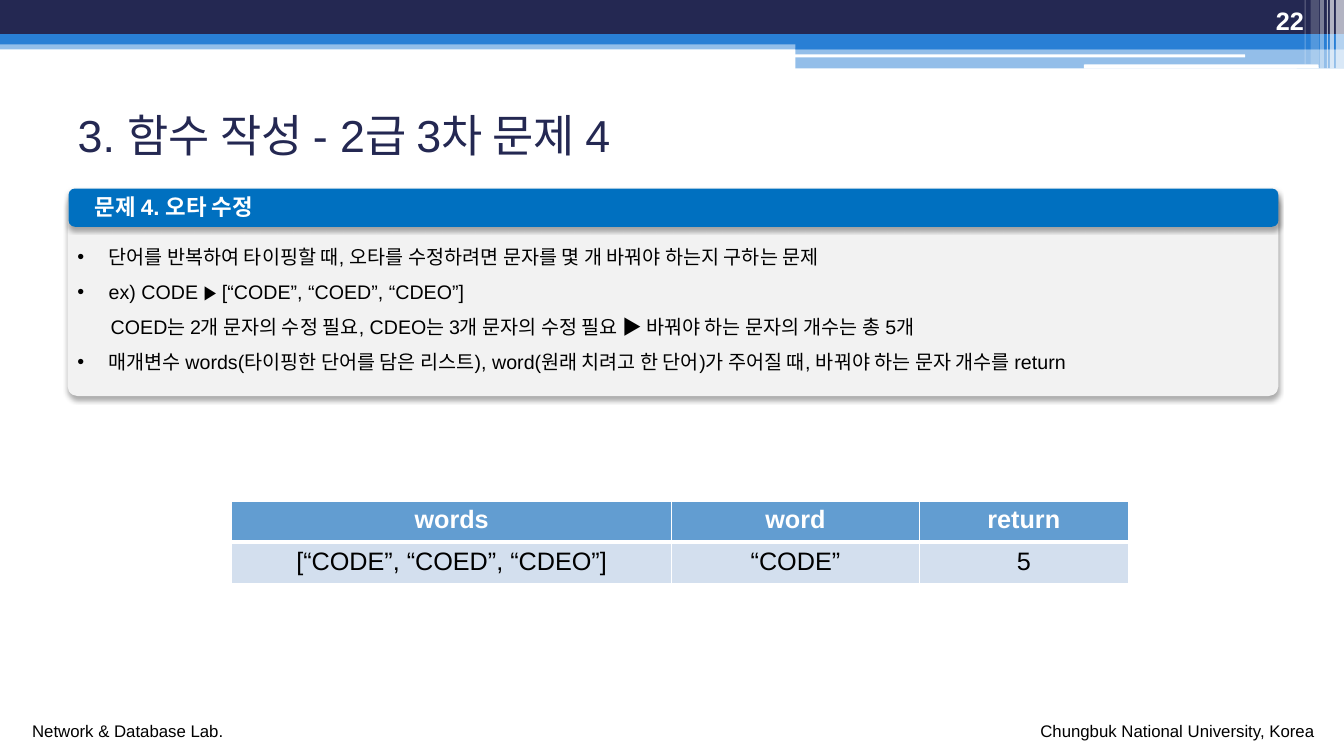
from dataclasses import dataclass
from typing import Any

from lxml import etree
from pptx import Presentation
from pptx import util as u
from pptx.dml.color import RGBColor
from pptx.enum import shapes, text
from pptx.oxml import ns

SCALE = 9144  # EMU in one px, 100 px to the inch


@dataclass(frozen=True)
class Theme:
    font: str = "Arial"
    navy: str = "242852"
    blue: str = "297FD5"
    white: str = "FFFFFF"
    black: str = "000000"
    panel: str = "F2F2F2"
    label: str = "0070C0"
    head: str = "629DD1"
    body: str = "D3DFEE"
    title_pt: int = 32
    table_pt: int = 18
    label_pt: int = 16
    text_pt: int = 14
    foot_pt: int = 12


@dataclass(frozen=True)
class Box:
    left: int
    top: int
    width: int
    height: int

    def emu(self) -> list[u.Emu]:
        return [px(n) for n in (self.left, self.top, self.width, self.height)]


@dataclass(frozen=True)
class Bar:
    box: Box
    color: str
    alpha: int = 100
    round: float = 0
    shadow: bool = False


@dataclass(frozen=True)
class Note:
    box: Box
    lines: tuple[str, ...]
    size: int
    color: str
    bold: bool = False
    wrap: bool = True
    grow: bool = True
    align: Any = None
    anchor: Any = text.MSO_ANCHOR.TOP


T = Theme()

# Bands across the top, then the pale stripes at the right edge
BARS = [
    Bar(Box(0, 40, 1333, 9), T.blue, 50),
    Bar(Box(0, 0, 1333, 34), T.navy),
    Bar(Box(0, 34, 1333, 10), T.blue),
    Bar(Box(789, 39, 544, 10), T.blue),
    Bar(Box(789, 48, 544, 20), T.blue, 50),
    Bar(Box(788, 54, 447, 3), T.white, round=0.17),
    Bar(Box(1075, 64, 233, 4), T.white, round=0.17),
] + [
    Bar(Box(left, 0, width, height), T.white, alpha)
    for left, width, height, alpha in (
        (1325, 8, 68, 65), (1319, 4, 68, 65), (1316, 1, 68, 60),
        (1309, 4, 68, 40), (1300, 8, 64, 20), (1294, 1, 64, 30))
]

NOTES = [
    Note(Box(22, 710, 211, 30), ("Network & Database Lab.",),
         T.foot_pt, T.black, wrap=False),
    Note(Box(1022, 710, 294, 30), ("Chungbuk National University, Korea",),
         T.foot_pt, T.black, wrap=False),
    Note(Box(1192, 0, 111, 40), ("22",), T.table_pt, T.white, bold=True,
         grow=False, align=text.PP_ALIGN.RIGHT, anchor=text.MSO_ANCHOR.BOTTOM),
]

TITLE = Note(Box(67, 97, 1200, 74), ("3. 함수 작성 - 2급 3차 문제 4",),
             T.title_pt, T.navy, grow=False, align=text.PP_ALIGN.LEFT,
             anchor=text.MSO_ANCHOR.MIDDLE)

PANEL = [
    Bar(Box(67, 193, 1201, 200), T.panel, round=0.05, shadow=True),
    Bar(Box(68, 187, 1200, 38), T.label, round=0.17, shadow=True),
]
LABEL = Note(Box(84, 187, 1181, 37), ("문제 4. 오타 수정",),
             T.label_pt, T.white, bold=True)
TASK = Note(Box(67, 226, 1206, 147), (
    "단어를 반복하여 타이핑할 때, 오타를 수정하려면 문자를 몇 개 바꿔야 하는지 구하는 문제",
    "ex) CODE ▶ [“CODE”, “COED”, “CDEO”]",
    "COED는 2개 문자의 수정 필요, CDEO는 3개 문자의 수정 필요 ▶ 바꿔야 하는 문자의 개수는 총 5개",
    "매개변수 words(타이핑한 단어를 담은 리스트), word(원래 치려고 한 단어)가 주어질 때, "
    "바꿔야 하는 문자 개수를 return",
), T.text_pt, T.black)
PLAIN = 2  # the line of the task without a bullet

GRID = Box(230, 497, 889, 82)
COLS = (436, 246, 207)
ROWS = (("words", "word", "return"),
        ("[“CODE”, “COED”, “CDEO”]", "“CODE”", "5"))


def px(n: int) -> u.Emu:
    return u.Emu(n * SCALE)


def rgb(color: str) -> RGBColor:
    return RGBColor.from_string(color)


def add(parent: Any, tag: str, **attrs: Any) -> Any:
    return etree.SubElement(parent, ns.qn(tag),
                            {k: str(v) for k, v in attrs.items()})


def style(para: Any, size: int, color: str, bold: bool, align: Any) -> None:
    para.alignment = align
    for run in para.runs:
        run.font.name = T.font
        run.font.size = u.Pt(size)
        run.font.bold = bold
        run.font.color.rgb = rgb(color)


def draw_bar(group: Any, bar: Bar) -> None:
    kind = shapes.MSO_SHAPE
    shape = group.add_shape(
        kind.ROUNDED_RECTANGLE if bar.round else kind.RECTANGLE, *bar.box.emu())
    if bar.round:
        shape.adjustments[0] = bar.round
    shape.fill.solid()
    shape.fill.fore_color.rgb = rgb(bar.color)
    shape.line.fill.background()
    shape.shadow.inherit = False
    props = shape.element.spPr
    if bar.alpha < 100:
        add(props.find(".//" + ns.qn("a:srgbClr")), "a:alpha", val=bar.alpha * 1000)
    if bar.shadow:
        cast = add(props.find(ns.qn("a:effectLst")), "a:outerShdw",
                   blurRad=u.Pt(3.5), dist=u.Pt(2.2), dir=5400000, rotWithShape=0)
        add(add(cast, "a:srgbClr", val=T.black), "a:alpha", val=32000)


def fill_note(shape: Any, note: Note) -> Any:
    frame = shape.text_frame
    frame.text = "\n".join(note.lines)
    frame.word_wrap = note.wrap
    frame.vertical_anchor = note.anchor
    fit = text.MSO_AUTO_SIZE
    frame.auto_size = fit.SHAPE_TO_FIT_TEXT if note.grow else fit.NONE
    for para in frame.paragraphs:
        style(para, note.size, note.color, note.bold, note.align)
    return frame


def draw_note(group: Any, note: Note) -> Any:
    return fill_note(group.add_textbox(*note.box.emu()), note)


def draw_panel(group: Any) -> None:
    for bar in PANEL:
        draw_bar(group, bar)
    draw_note(group, LABEL)
    for i, para in enumerate(draw_note(group, TASK).paragraphs):
        para.line_spacing = 1.5
        props = para._p.get_or_add_pPr()
        props.set("marL", str(px(33 if i == PLAIN else 31)))
        if i != PLAIN:
            props.set("indent", str(-px(31)))
            add(props, "a:buFont", typeface=T.font)
            add(props, "a:buChar", char="•")


def edge_cell(cell: Any, row: int) -> None:
    props = cell._tc.get_or_add_tcPr()
    wide = "a:lnT" if row else "a:lnB"
    for i, tag in enumerate(("a:lnL", "a:lnR", "a:lnT", "a:lnB")):
        line = add(props, tag, w=u.Pt(3 if tag == wide else 1))
        add(add(line, "a:solidFill"), "a:srgbClr", val=T.white)
        props.insert(i, line)


def draw_table(group: Any) -> None:
    table = group.add_table(len(ROWS), len(COLS), *GRID.emu()).table
    for col, width in zip(table.columns, COLS):
        col.width = px(width)
    for r, row in enumerate(ROWS):
        for c, word in enumerate(row):
            cell = table.cell(r, c)
            cell.text_frame.text = word
            style(cell.text_frame.paragraphs[0], T.table_pt,
                  T.black if r else T.white, r == 0, text.PP_ALIGN.CENTER)
            cell.fill.solid()
            cell.fill.fore_color.rgb = rgb(T.body if r else T.head)
            edge_cell(cell, r)


def main() -> None:
    deck = Presentation()
    deck.slide_width, deck.slide_height = px(1333), px(750)
    slide = deck.slides.add_slide(deck.slide_layouts[5])
    # Title
    title = slide.shapes.title
    title.left, title.top, title.width, title.height = TITLE.box.emu()
    fill_note(title, TITLE)
    # Frame of the slide
    for bar in BARS:
        draw_bar(slide.shapes, bar)
    for note in NOTES:
        draw_note(slide.shapes, note)
    # Task and example
    draw_panel(slide.shapes.add_group_shape().shapes)
    draw_table(slide.shapes)
    deck.save("out.pptx")


if __name__ == "__main__":
    main()
